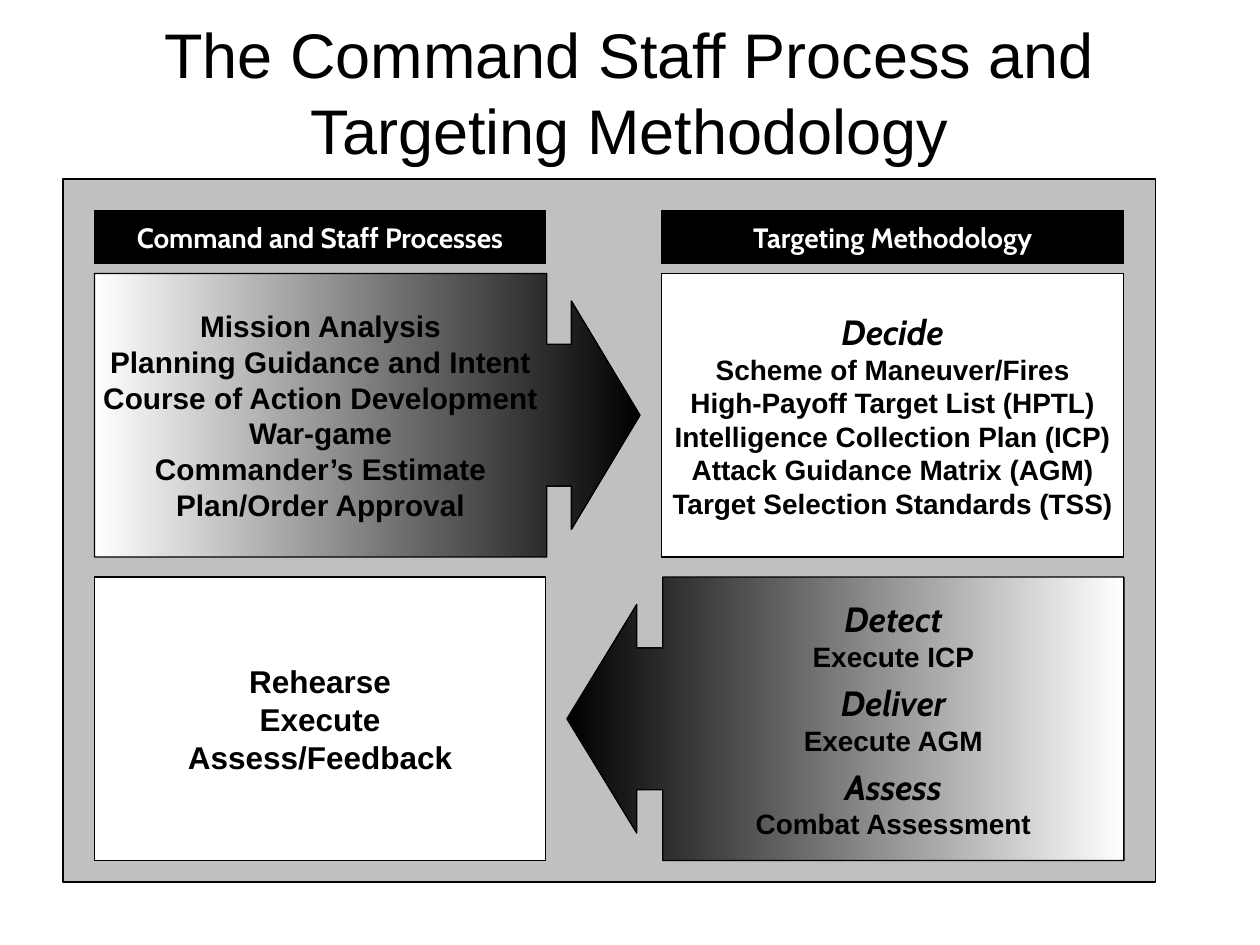
from pptx import Presentation
from pptx.dml.color import RGBColor
from pptx.enum.shapes import MSO_SHAPE
from pptx.enum.text import MSO_ANCHOR, PP_ALIGN
from pptx.util import Inches, Pt

RECT = MSO_SHAPE.RECTANGLE
ARROW = MSO_SHAPE.RIGHT_ARROW_CALLOUT
MIDDLE = MSO_ANCHOR.MIDDLE
CENTER = PP_ALIGN.CENTER

COLORS = {"black": "000000", "white": "FFFFFF", "gray": "C0C0C0"}

# Column and row grid, in inches
LEFT, RIGHT = 0.75, 5.25
LEFT_W, RIGHT_W = 3.58, 3.67
HEAD_Y, HEAD_H = 1.67, 0.42
TOP, LOW, BOX_H = 2.17, 4.58, 2.25


def rgb(name):
    return RGBColor.from_string(COLORS[name])


def add_text(frame, text, size=16, font="Arial", color="black",
             bold=True, italic=False, before=0):
    """Add one centred paragraph, using the first one while it is empty."""
    para = frame.paragraphs[0]
    if para.runs:
        para = frame.add_paragraph()
    para.alignment = CENTER
    para.space_before = Pt(before)
    run = para.add_run()
    run.text = text
    run.font.size = Pt(size)
    run.font.name = font
    run.font.bold = bold
    run.font.italic = italic
    run.font.color.rgb = rgb(color)


def add_lines(frame, lines, **style):
    for line in lines:
        add_text(frame, line, **style)


def add_stage(frame, name, lines, before=0):
    """Add an italic stage name with its tasks below."""
    add_text(frame, name, size=20, font="Cabin", italic=True, before=before)
    add_lines(frame, lines)


def add_box(slide, x, y, w, h, fill="white", kind=RECT):
    box = slide.shapes.add_shape(kind, Inches(x), Inches(y), Inches(w), Inches(h))
    box.shadow.inherit = False
    box.fill.solid()
    box.fill.fore_color.rgb = rgb(fill)
    box.line.color.rgb = rgb("black")
    box.line.width = Pt(0.75)
    box.text_frame.word_wrap = False
    box.text_frame.vertical_anchor = MIDDLE
    return box


def add_arrow(slide, x, y, w, head, body, flip=False):
    """Add a callout arrow that fades to black at its tip."""
    box = add_box(slide, x, y, w, BOX_H, kind=ARROW)
    for i, value in enumerate((0.5, 0.403, head, body)):
        box.adjustments[i] = value
    box.fill.gradient()
    box.fill.gradient_angle = 180
    for stop, name in zip(box.fill.gradient_stops, ("black", "white")):
        stop.color.rgb = rgb(name)
        stop.position = 0 if name == "black" else 1
    if flip:
        box._element.spPr.xfrm.set("flipH", "1")
    return box


def add_title(slide, text):
    box = slide.shapes.add_textbox(Inches(0.33), Inches(0.25),
                                   Inches(9.33), Inches(0.95))
    box.text_frame.word_wrap = True
    box.text_frame.vertical_anchor = MIDDLE
    add_text(box.text_frame, text, size=36, bold=False)


def main():
    deck = Presentation()
    deck.slide_width, deck.slide_height = Inches(10), Inches(7.5)
    slide = deck.slides.add_slide(deck.slide_layouts[6])

    # Title and backdrop
    add_title(slide, "The Command Staff Process and Targeting Methodology")
    add_box(slide, 0.5, 1.42, 8.67, 5.58, fill="gray")

    # Planning arrow, pointing right
    plan = add_arrow(slide, LEFT, TOP, 4.33, 0.242, 0.829)
    add_lines(plan.text_frame, (
        "Mission Analysis", "Planning Guidance and Intent",
        "Course of Action Development", "War-game",
        "Commander’s Estimate", "Plan/Order Approval"), size=17)

    # Targeting arrow, pointing left
    target = add_arrow(slide, 4.5, LOW, 4.42, 0.246, 0.828, flip=True)
    stages = (("Detect", "Execute ICP"), ("Deliver", "Execute AGM"),
              ("Assess", "Combat Assessment"))
    for i, (name, task) in enumerate(stages):
        add_stage(target.text_frame, name, [task], before=4.75 if i else 0)

    # White boxes
    decide = add_box(slide, RIGHT, TOP, RIGHT_W, BOX_H)
    add_stage(decide.text_frame, "Decide", (
        "Scheme of Maneuver/Fires", "High-Payoff Target List (HPTL)",
        "Intelligence Collection Plan (ICP)", "Attack Guidance Matrix (AGM)",
        "Target Selection Standards (TSS)"))
    act = add_box(slide, LEFT, LOW, LEFT_W, BOX_H)
    add_lines(act.text_frame, ("Rehearse", "Execute", "Assess/Feedback"), size=18)

    # Column headings
    for x, w, text in ((LEFT, LEFT_W, "Command and Staff Processes"),
                       (RIGHT, RIGHT_W, "Targeting Methodology")):
        head = add_box(slide, x, HEAD_Y, w, HEAD_H, fill="black")
        add_text(head.text_frame, text, font="Cabin", color="white")

    deck.save("out.pptx")


if __name__ == "__main__":
    main()
